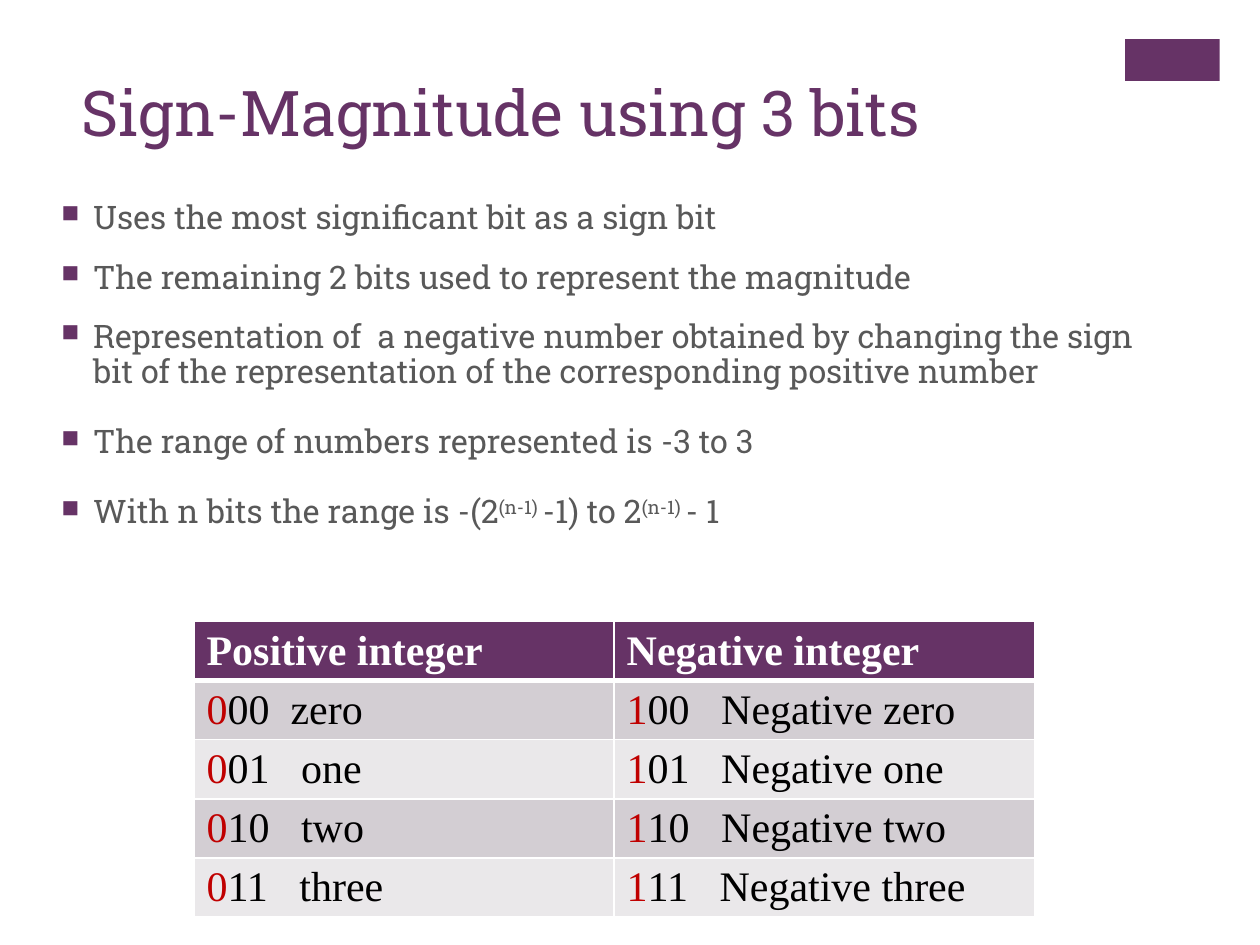
from lxml import etree
from pptx import Presentation
from pptx import util as u
from pptx.dml import color
from pptx.enum import shapes, text
from pptx.oxml import ns

PURPLE, GREY, WHITE, RED, BLACK = "663366", "595959", "FFFFFF", "C00000", "000000"
BANDS = ("D3CED3", "EAE8EA")
SLAB, SERIF = "Roboto Slab", "Times New Roman"

BULLETS = [
    (14, ["Uses the most significant bit as a sign bit"]),
    (14, ["The remaining 2 bits used to represent the magnitude"]),
    (14, ["Representation of  a negative number obtained by changing the sign "
          "bit of the representation of the corresponding positive number"]),
    (20, ["The range of numbers represented is -3 to 3"]),
    (20, ["With n bits the range is -(2", "(n-1) ", "-1) to 2", "(n-1) ", "- 1"]),
]
HEADERS = ("Positive integer", "Negative integer")
ROWS = [
    ("000  zero", "100   Negative zero"),
    ("001   one", "101   Negative one"),
    ("010   two", "110   Negative two"),
    ("011   three", "111   Negative three"),
]


def rgb(value):
    return color.RGBColor.from_string(value)


def add_xml(parent, tag, **attributes):
    return etree.SubElement(parent, ns.qn(tag), attributes)


class SlideBuilder:
    def __init__(self, presentation):
        self.slide = presentation.slides.add_slide(presentation.slide_layouts[6])

    def style(self, font, name, size, colour, bold=False):
        font.name, font.size, font.bold = name, u.Pt(size), bold
        font.color.rgb = rgb(colour)

    def block(self, left, top, width, height, colour):
        shape = self.slide.shapes.add_shape(
            shapes.MSO_SHAPE.RECTANGLE, u.Cm(left), u.Cm(top), u.Cm(width), u.Cm(height))
        shape.shadow.inherit = False
        shape.fill.solid()
        shape.fill.fore_color.rgb = rgb(colour)
        shape.line.fill.background()

    def text_frame(self, left, top, width, height):
        box = self.slide.shapes.add_textbox(u.Cm(left), u.Cm(top), u.Cm(width), u.Cm(height))
        frame = box.text_frame
        frame.word_wrap = True
        frame.vertical_anchor = text.MSO_ANCHOR.TOP
        return frame

    def title(self, left, top, width, height, wording):
        paragraph = self.text_frame(left, top, width, height).paragraphs[0]
        paragraph.text = wording
        self.style(paragraph.font, SLAB, 36, PURPLE)

    def bullets(self, left, top, width, height, items):
        frame = self.text_frame(left, top, width, height)
        for index, (space, parts) in enumerate(items):
            paragraph = frame.add_paragraph() if index else frame.paragraphs[0]
            paragraph.line_spacing = 0.9
            paragraph.space_before = u.Pt(space if index else 0)
            self.bullet_mark(paragraph)
            self.style(paragraph.font, SLAB, 18.5, GREY)
            for position, part in enumerate(parts):
                run = paragraph.add_run()
                run.text = part
                if position % 2:
                    run._r.get_or_add_rPr().set("baseline", "30000")

    def bullet_mark(self, paragraph):
        properties = paragraph._p.get_or_add_pPr()
        indent = u.Cm(0.64)
        properties.set("marL", str(indent))
        properties.set("indent", str(-indent))
        add_xml(add_xml(properties, "a:buClr"), "a:srgbClr", val=PURPLE)
        add_xml(properties, "a:buSzPct", val="75000")
        add_xml(properties, "a:buChar", char="■")

    def table(self, left, top, column_width, row_height, headers, rows):
        count = len(rows) + 1
        table = self.slide.shapes.add_table(
            count, len(headers), u.Cm(left), u.Cm(top),
            u.Cm(column_width * len(headers)), u.Cm(row_height * count)).table
        for row, values in enumerate([headers, *rows]):
            table.rows[row].height = u.Cm(row_height)
            for column, value in enumerate(values):
                self.cell(table.cell(row, column), row, value)

    def cell(self, cell, row, value):
        self.borders(cell, top=3 if row == 1 else 1, bottom=1 if row else 3)
        cell.fill.solid()
        cell.fill.fore_color.rgb = rgb(BANDS[(row - 1) % 2] if row else PURPLE)
        paragraph = cell.text_frame.paragraphs[0]
        parts = [(value[0], RED), (value[1:], BLACK)] if row else [(value, WHITE)]
        for wording, colour in parts:
            run = paragraph.add_run()
            run.text = wording
            self.style(run.font, SERIF, 24, colour, bold=row == 0)

    def borders(self, cell, top, bottom):
        properties = cell._tc.get_or_add_tcPr()
        for side, width in (("L", 1), ("R", 1), ("T", top), ("B", bottom)):
            line = add_xml(properties, f"a:ln{side}", w=str(u.Pt(width)))
            add_xml(add_xml(line, "a:solidFill"), "a:srgbClr", val=WHITE)


def main():
    presentation = Presentation()
    presentation.slide_width, presentation.slide_height = u.Cm(25.4), u.Cm(19.05)
    builder = SlideBuilder(presentation)
    builder.block(22.68, 0.79, 1.91, 0.84, PURPLE)
    builder.table(3.91, 12.53, 8.47, 1.03, HEADERS, ROWS)
    builder.title(1.4, 1.35, 20.98, 2.59, "Sign-Magnitude using 3 bits")
    builder.bullets(0.99, 3.94, 22.5, 7.59, BULLETS)
    presentation.save("out.pptx")


if __name__ == "__main__":
    main()
